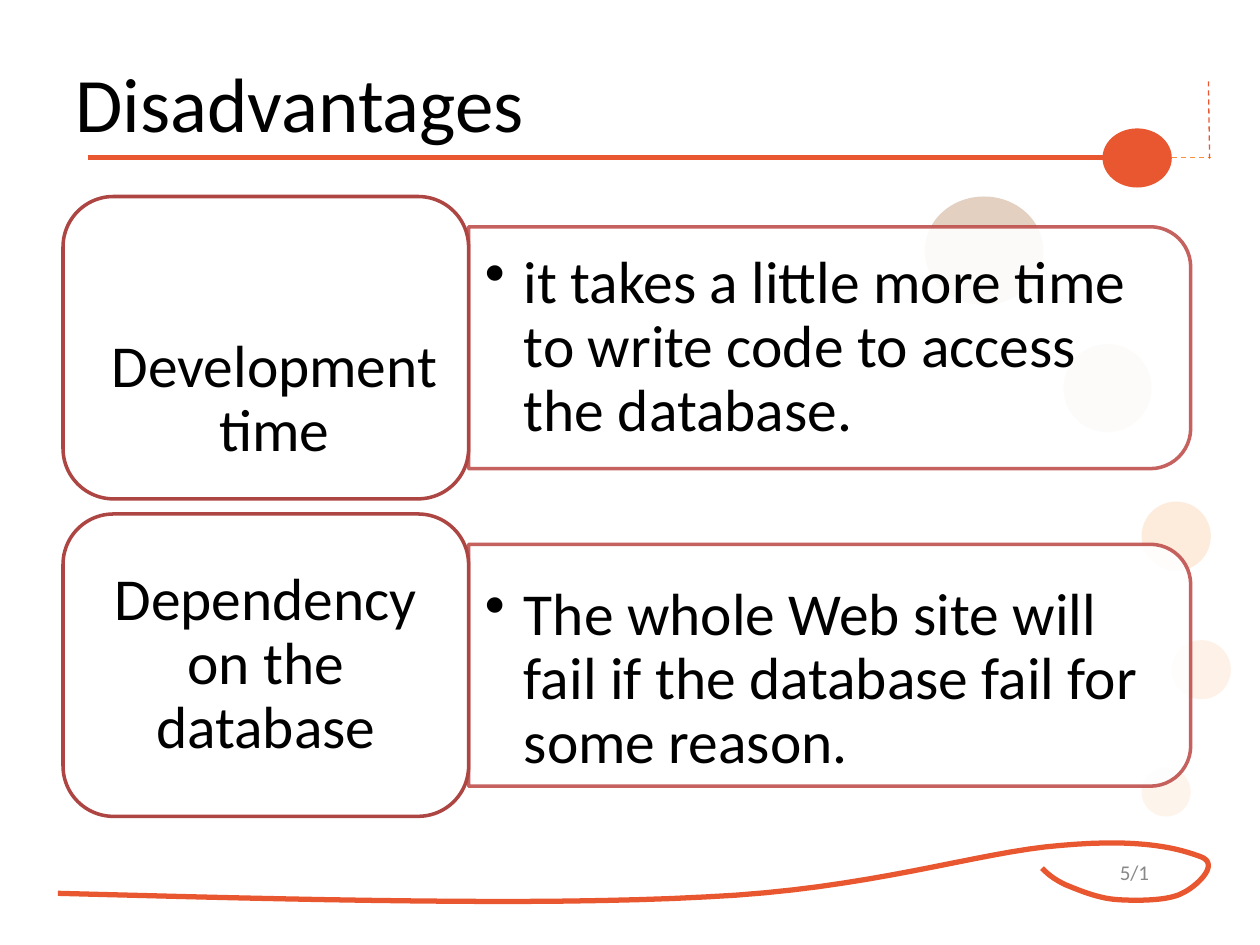
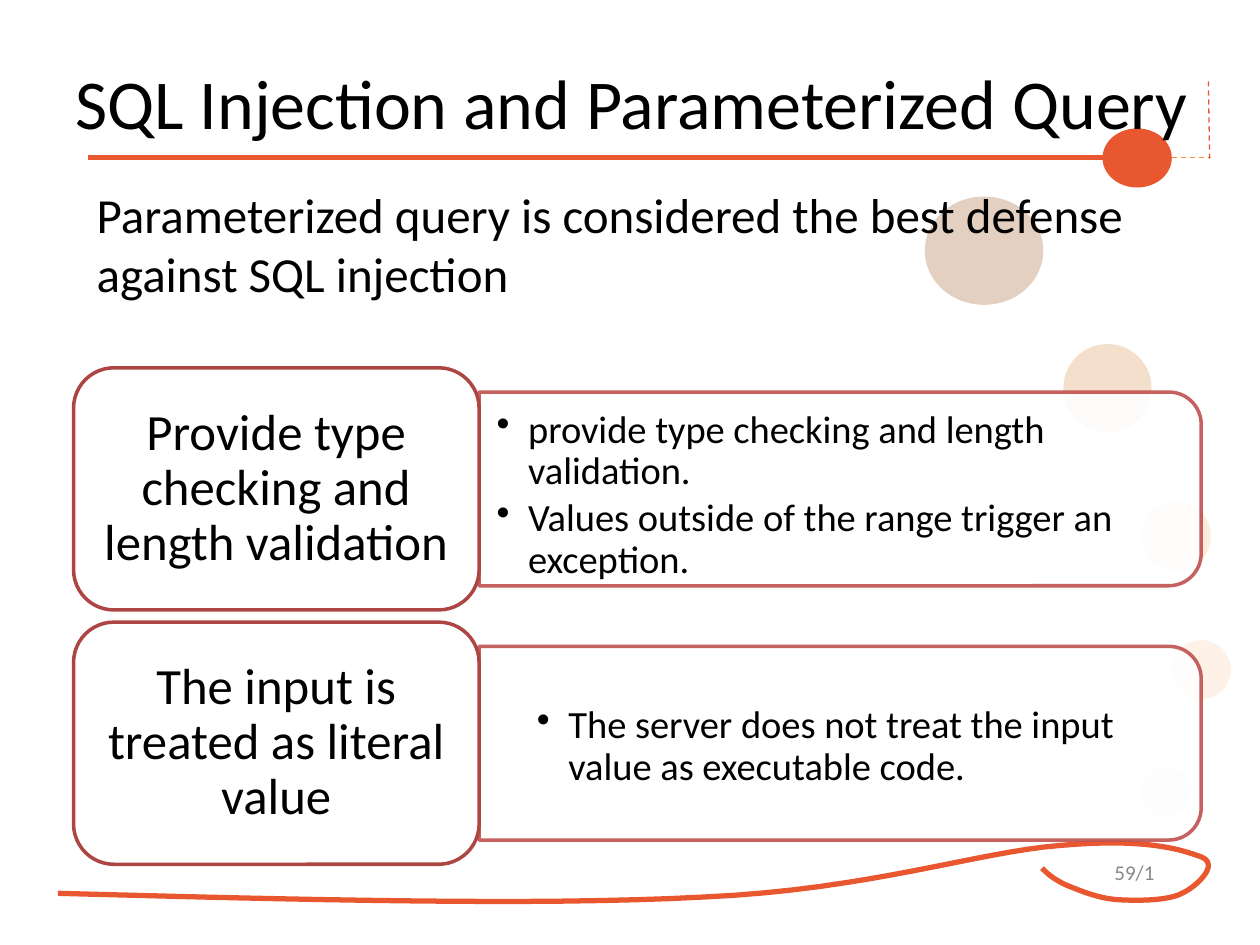
from lxml import etree
from pptx import Presentation
from pptx.dml.color import RGBColor
from pptx.enum import dml, shapes, text
from pptx.oxml import ns
from pptx.util import Pt

FONT = "Calibri"
ORANGE = RGBColor(0xE8, 0x57, 0x30)
AMBER = RGBColor(0xF6, 0x90, 0x3C)
BRICK = RGBColor(0xAD, 0x46, 0x43)
ROSE = RGBColor(0xBF, 0x50, 0x4D)
WHITE = RGBColor(0xFF, 0xFF, 0xFF)
BLACK = RGBColor(0, 0, 0)
GREY = RGBColor(0x88, 0x88, 0x88)
KIND = shapes.MSO_SHAPE
MID = text.MSO_ANCHOR.MIDDLE
TOP = text.MSO_ANCHOR.TOP
MIDST = text.PP_ALIGN.CENTER

# left, top, width, height, colour, opacity in percent
DOTS = [
    (528.5, 112.3, 67.7, 61.9, RGBColor(0x90, 0x44, 0x06), 25),
    (607.7, 196.6, 50.4, 50.4, RGBColor(0xC8, 0x5F, 0x08), 20),
    (652.3, 286.6, 39.6, 39.6, RGBColor(0xF5, 0x7B, 0x17), 15),
    (669.6, 365.8, 33.8, 33.8, RGBColor(0xF6, 0x7B, 0x16), 10),
    (652.3, 438.5, 28.1, 28.1, RGBColor(0xF5, 0x95, 0x45), 10),
    (630, 73.4, 39.6, 33.8, ORANGE, 100),
]
# start x, y, end x, y, colour, weight, dash
RULES = [
    (50.4, 90, 630, 90, ORANGE, 3, None),
    (669.6, 90, 691.9, 90, AMBER, 0.75, dml.MSO_LINE.DASH),
    (691.2, 90.7, 690.5, 44.6, ORANGE, 0.75, dml.MSO_LINE.DASH),
]
# Bezier chain: first point, then two handles and an end for each piece
SWIRL = [
    (33.1, 510.5), (169.9, 514.1), (306.7, 517.7), (402.5, 512.6),
    (497.5, 508.3), (558.7, 486.7), (606.2, 483.1),
    (653.8, 478.8), (674.6, 485.3), (686.2, 489.6),
    (697.7, 493.9), (683.3, 506.9), (675.4, 510.5),
    (667.4, 514.8), (649.4, 514.8), (638.6, 514.1),
    (627.1, 513.4), (615.6, 508.3), (608.4, 505.4),
    (601.2, 501.8), (598.3, 499), (595.4, 496.1),
]
CARD_W, NOTE_W = 231.8, 412.6

SLIDES = [
    dict(
        page="5/1", title="Disadvantages", size=44, intro=None,
        left=36, top=112.3, high=172.8, big=34, small=34, inset=10, hang=22.3,
        cards=[
            ("Development time", (5, 30.2),
             ["it takes a little more time to write code to access the database."],
             (267.1, 119.5, 403.2, 159.1)),
            ("Dependency on the database", (0, 0),
             ["The whole Web site will fail if the database fail for some reason."],
             (267.1, 298.1, 403.2, 181.4)),
        ],
    ),
    dict(
        page="59/1", title="SQL Injection and Parameterized Query", size=40,
        intro="Parameterized query is considered the best defense against SQL injection",
        left=42, top=210.2, high=138.4, big=29, small=22, inset=8, hang=18,
        cards=[
            ("Provide type checking and length validation", (0, 0),
             ["provide type checking and length validation.",
              "Values outside of the range trigger an exception."],
             (277.2, 227.5, 412.6, 111.6)),
            ("The input is treated as literal value", (0, 0),
             ["The server does not treat the input value as executable code."],
             (300.2, 373.7, 390.2, 106.6)),
        ],
    ),
]


def draw(slide, kind, box, fill, alpha=100, edge=None):
    """Add a preset shape; alpha is the opacity of fill and edge is the line colour."""
    item = slide.shapes.add_shape(kind, *map(Pt, box))
    item.shadow.inherit = False
    item.fill.solid()
    item.fill.fore_color.rgb = fill
    if edge is None:
        item.line.fill.background()
    else:
        item.line.color.rgb = edge
        item.line.width = Pt(2)
    if alpha < 100:
        for tint in item._element.spPr.iter(ns.qn("a:srgbClr")):
            etree.SubElement(tint, ns.qn("a:alpha"), val=str(alpha * 1000))
    return item


def write(slide, box, lines, size, color=BLACK, anchor=MID, align=None,
          inset=7.2, space=None, hang=None):
    """Add a text box; hang gives bullets with that hanging indent."""
    frame = slide.shapes.add_textbox(*map(Pt, box)).text_frame
    look = dict(word_wrap=True, vertical_anchor=anchor,
                margin_left=Pt(inset), margin_right=Pt(inset),
                margin_top=Pt(inset / 2), margin_bottom=Pt(inset / 2))
    for name, value in look.items():
        setattr(frame, name, value)
    for i, line in enumerate(lines):
        para = frame.add_paragraph() if i else frame.paragraphs[0]
        if hang:
            props = para._p.get_or_add_pPr()
            props.set("marL", str(Pt(hang)))
            props.set("indent", str(-Pt(hang)))
            tint = etree.SubElement(props, ns.qn("a:buClr"))
            etree.SubElement(tint, ns.qn("a:srgbClr"), val=str(BLACK))
            etree.SubElement(props, ns.qn("a:buChar"), char="•")
            para.level = 1
        if i:
            para.space_before = Pt(3.3)
        para.alignment = align
        para.line_spacing = space
        run = para.add_run()
        run.text = line
        for name, value in dict(name=FONT, size=Pt(size)).items():
            setattr(run.font, name, value)
        run.font.color.rgb = color


deck = Presentation()
deck.slide_width, deck.slide_height = Pt(720), Pt(540)

for data in SLIDES:
    slide = deck.slides.add_slide(deck.slide_layouts[6])

    # Shared frame: page number, swirl, rules and dots
    write(slide, (624.2, 483.8, 48.2, 28.8), [data["page"]], 12, GREY, align=MIDST)
    curve = []
    for k in range(0, len(SWIRL) - 1, 3):
        for step in range(1, 17):
            t = step / 16
            parts = ((1 - t) ** 3, 3 * t * (1 - t) ** 2, 3 * t * t * (1 - t), t ** 3)
            curve.append(tuple(
                Pt(sum(w * spot[axis] for w, spot in zip(parts, SWIRL[k:k + 4])))
                for axis in (0, 1)))
    pen = slide.shapes.build_freeform(*map(Pt, SWIRL[0]))
    pen.add_line_segments(curve, close=False)
    swirl = pen.convert_to_shape()
    swirl.shadow.inherit = False
    swirl.fill.background()
    swirl.line.color.rgb = ORANGE
    swirl.line.width = Pt(3)
    for *ends, color, weight, dash in RULES:
        rule = slide.shapes.add_connector(shapes.MSO_CONNECTOR.STRAIGHT, *map(Pt, ends))
        rule.line.color.rgb = color
        rule.line.width = Pt(weight)
        rule.line.dash_style = dash
        etree.SubElement(rule._element.spPr, ns.qn("a:effectLst"))
    for *box, color, alpha in DOTS:
        draw(slide, KIND.OVAL, box, color, alpha)
    write(slide, (36, 14.4, 653.8, 87.1), [data["title"]], data["size"])

    # Each card: a note panel turned on its side, then the label
    left, high, inset = data["left"], data["high"], data["inset"]
    for row, (label, shift, notes, place) in enumerate(data["cards"]):
        top = data["top"] + row * high * 1.05
        deep = high * 0.8
        box = (left + CARD_W + (NOTE_W - deep) / 2, top + (high - NOTE_W) / 2, deep, NOTE_W)
        panel = draw(slide, KIND.ROUND_2_SAME_RECTANGLE, box, WHITE, 90, ROSE)
        panel.rotation = 90
        panel.adjustments[0] = 0.167
        write(slide, place, notes, data["small"], inset=inset if row + high > 150 else 6.6,
              space=0.9, hang=data["hang"])
        card = draw(slide, KIND.ROUNDED_RECTANGLE, (left, top, CARD_W, high), WHITE, edge=BRICK)
        card.adjustments[0] = 0.167
        write(slide, (left + shift[0], top + shift[1], CARD_W, high), [label], data["big"],
              align=MIDST, inset=inset + 0.5, space=0.9)
    if data["intro"]:
        write(slide, (48.2, 102.2, 642.2, 74.9), [data["intro"]], 28, anchor=TOP)

deck.save("out.pptx")
